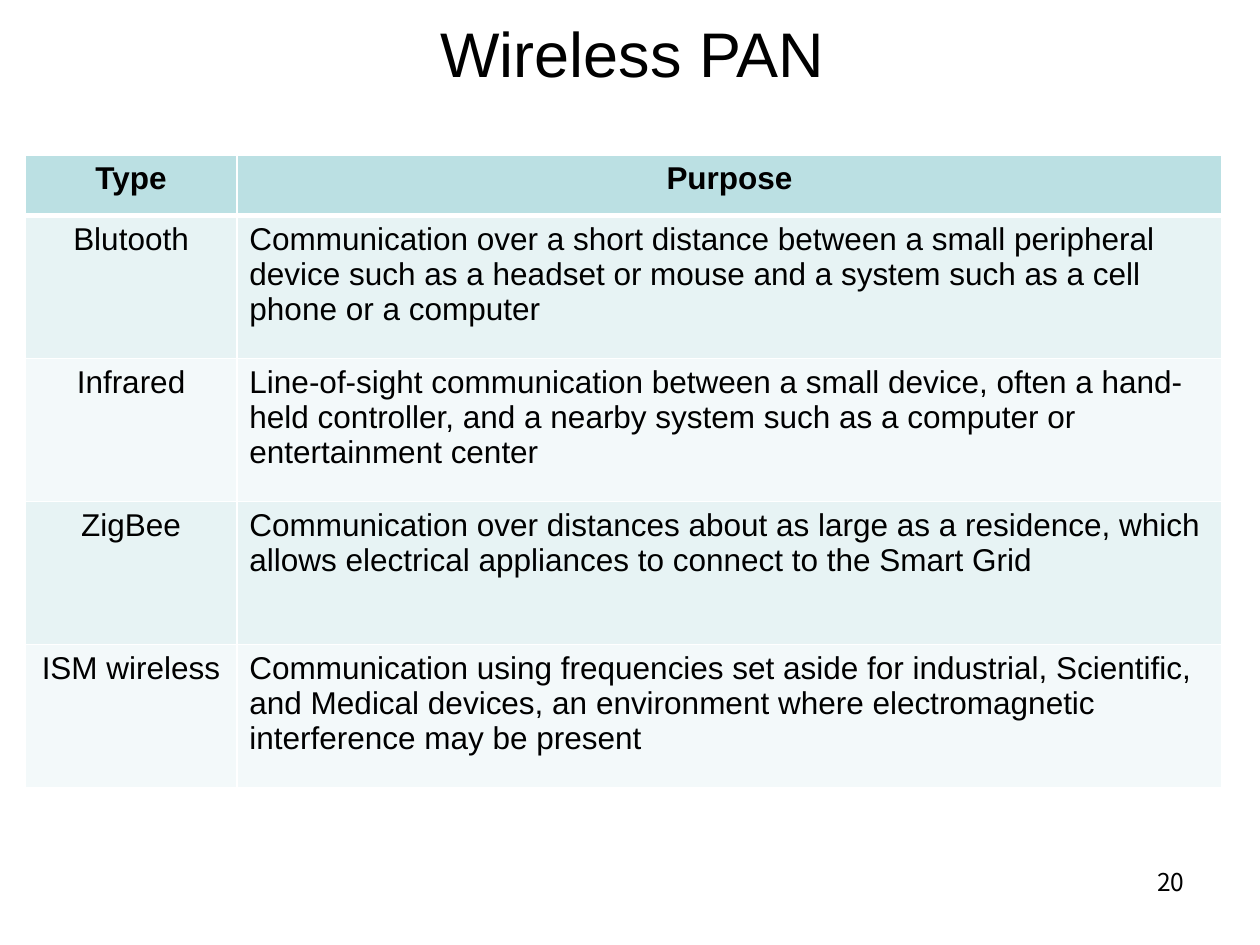
from dataclasses import dataclass

from lxml import etree
from pptx import Presentation
from pptx import util as u
from pptx.dml.color import RGBColor
from pptx.enum import text
from pptx.oxml.ns import qn

COLUMNS, ROWS = 100, 75  # grid over the whole slide
CELL = u.Inches(0.1)


@dataclass(frozen=True)
class Theme:
    ink: str = "000000"
    rule: str = "FFFFFF"
    header: str = "BBE0E3"
    bands: tuple[str, str] = ("E7F3F4", "F3F9FA")
    font: str = "Arial"
    number_font: str = "Noto Sans CJK KR"
    title_size: int = 36
    body_size: int = 18
    number_size: int = 14
    thin: int = 1
    thick: int = 3


@dataclass(frozen=True)
class Region:
    """A box in grid columns and rows."""
    column: float
    row: float
    columns: float
    rows: float

    def emu(self) -> list[int]:
        return [round(n * CELL) for n in (self.column, self.row, self.columns, self.rows)]


@dataclass(frozen=True)
class Network:
    kind: str
    purpose: str


THEME = Theme()
TITLE = Region(2.7, 0, 95, 8.3)
TABLE = Region(2, 12.3, 95, 50.2)
NUMBER = Region(71.7, 68.3, 23.3, 5.2)
KIND_COLUMNS = 16.8
HEADER_ROWS = 4.8

HEADING = Network("Type", "Purpose")
NETWORKS = [
    Network("Blutooth", "Communication over a short distance between a small peripheral device "
            "such as a headset or mouse and a system such as a cell phone or a computer"),
    Network("Infrared", "Line-of-sight communication between a small device, often a hand-held "
            "controller, and a nearby system such as a computer or entertainment center"),
    Network("ZigBee", "Communication over distances about as large as a residence, which allows "
            "electrical appliances to connect to the Smart Grid"),
    Network("ISM wireless", "Communication using frequencies set aside for industrial, Scientific, "
            "and Medical devices, an environment where electromagnetic interference may be present"),
]


def write(frame, words: str, *, size: int = THEME.body_size, font: str = THEME.font,
          bold: bool = False, align=text.PP_ALIGN.LEFT) -> None:
    paragraph = frame.paragraphs[0]
    paragraph.alignment = align
    run = paragraph.add_run()
    run.text = words
    run.font.size = u.Pt(size)
    run.font.name = font
    run.font.bold = bold
    run.font.color.rgb = RGBColor.from_string(THEME.ink)
    east_asian = etree.SubElement(run.font._element, qn("a:ea"))
    east_asian.set("typeface", font)


def add_label(slide, region: Region, words: str, anchor, **style) -> None:
    frame = slide.shapes.add_textbox(*region.emu()).text_frame
    frame.word_wrap = True
    frame.vertical_anchor = anchor
    write(frame, words, **style)


def paint_cell(cell, fill: str, top: int, bottom: int) -> None:
    """Fill a cell and rule its four sides; top and bottom are in points."""
    properties = cell._tc.get_or_add_tcPr()
    sides = {"L": THEME.thin, "R": THEME.thin, "T": top, "B": bottom}
    for side, width in sides.items():
        line = etree.SubElement(properties, qn(f"a:ln{side}"), w=str(u.Pt(width)))
        solid = etree.SubElement(line, qn("a:solidFill"))
        etree.SubElement(solid, qn("a:srgbClr"), val=THEME.rule)
    cell.fill.solid()
    cell.fill.fore_color.rgb = RGBColor.from_string(fill)


def add_networks(slide, heading: Network, networks: list[Network]) -> None:
    entries = [heading, *networks]
    table = slide.shapes.add_table(len(entries), 2, *TABLE.emu()).table
    for column, span in zip(table.columns, (KIND_COLUMNS, TABLE.columns - KIND_COLUMNS)):
        column.width = round(span * CELL)
    body_rows = (TABLE.rows - HEADER_ROWS) / len(networks)
    for index, entry in enumerate(entries):
        is_header = index == 0
        table.rows[index].height = round((HEADER_ROWS if is_header else body_rows) * CELL)
        fill = THEME.header if is_header else THEME.bands[(index - 1) % 2]
        top = THEME.thick if index == 1 else THEME.thin
        bottom = THEME.thick if is_header else THEME.thin
        for position, words in enumerate((entry.kind, entry.purpose)):
            cell = table.cell(index, position)
            paint_cell(cell, fill, top, bottom)
            centred = is_header or position == 0
            write(cell.text_frame, words, bold=is_header,
                  align=text.PP_ALIGN.CENTER if centred else text.PP_ALIGN.LEFT)


def main() -> None:
    deck = Presentation()
    deck.slide_width, deck.slide_height = COLUMNS * CELL, ROWS * CELL
    slide = deck.slides.add_slide(deck.slide_layouts[6])
    add_label(slide, NUMBER, "20", text.MSO_ANCHOR.TOP, size=THEME.number_size,
              font=THEME.number_font, align=text.PP_ALIGN.RIGHT)
    add_label(slide, TITLE, "Wireless PAN", text.MSO_ANCHOR.MIDDLE,
              size=THEME.title_size, align=text.PP_ALIGN.CENTER)
    add_networks(slide, HEADING, NETWORKS)
    deck.save("out.pptx")


if __name__ == "__main__":
    main()
